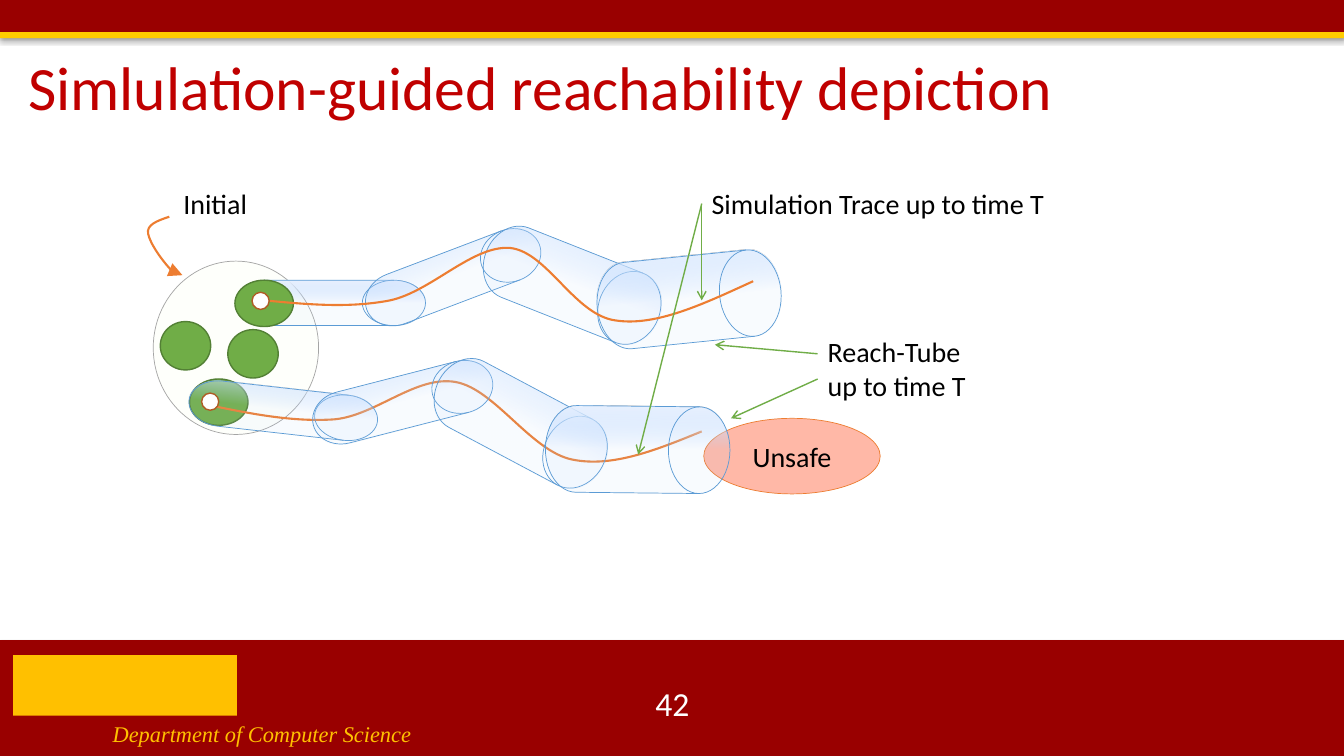
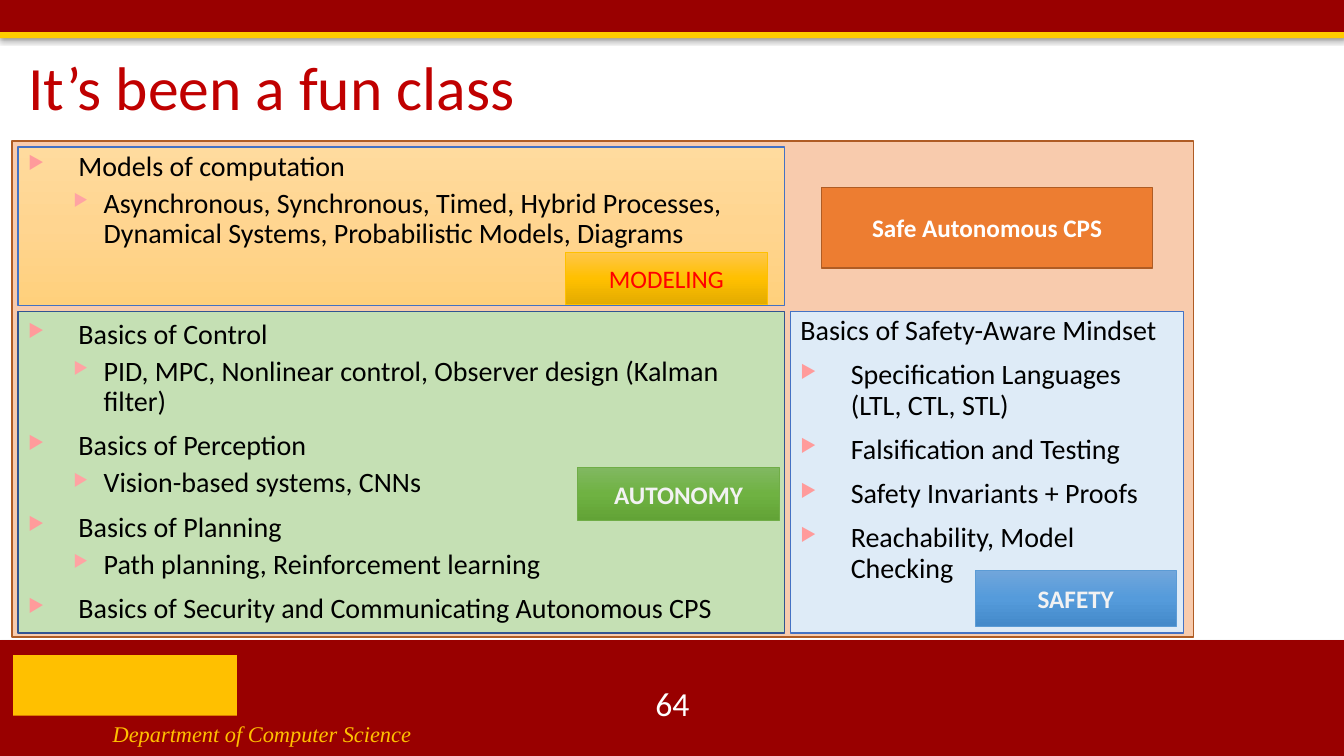
from dataclasses import dataclass
from typing import Any, NamedTuple

import pptx
import pptx.dml.color
import pptx.enum.shapes
import pptx.enum.text
import pptx.oxml.ns
import pptx.shapes.autoshape
import pptx.slide
import pptx.util
from lxml import etree

RGB = pptx.dml.color.RGBColor
KIND = pptx.enum.shapes.MSO_SHAPE
ALIGN = pptx.enum.text.PP_ALIGN
ANCHOR = pptx.enum.text.MSO_ANCHOR
Pt = pptx.util.Pt
qn = pptx.oxml.ns.qn
Shape = pptx.shapes.autoshape.Shape
Slide = pptx.slide.Slide

# The slide is a grid of square cells, 75 rows high and COLS columns wide.
HIGH = pptx.util.Inches(7.5)
WIDE = pptx.util.Inches(13.33)
CELL = HIGH // 75
COLS = WIDE / CELL

BLACK = RGB(0x00, 0x00, 0x00)
WHITE = RGB(0xFF, 0xFF, 0xFF)
PALE = RGB(0xF2, 0xF2, 0xF2)
CRIMSON = RGB(0x99, 0x00, 0x00)
GOLD = RGB(0xFF, 0xCC, 0x00)
AMBER = RGB(0xFF, 0xC0, 0x00)
TITLE = RGB(0xC0, 0x00, 0x00)
RED = RGB(0xFF, 0x00, 0x00)
ORANGE = RGB(0xED, 0x7D, 0x31)
RUST = RGB(0xAF, 0x5C, 0x24)
PEACH = RGB(0xF8, 0xCB, 0xAD)
SALMON = RGB(0xFF, 0xB8, 0xA7)
GREEN = RGB(0x70, 0xAD, 0x47)
FOREST = RGB(0x53, 0x80, 0x35)
MINT = RGB(0xC5, 0xE0, 0xB4)
IVORY = RGB(0xFE, 0xFF, 0xFB)
GREY = RGB(0xA5, 0xA5, 0xA5)
BLUE = RGB(0x5B, 0x9B, 0xD5)
ROYAL = RGB(0x44, 0x72, 0xC4)
NAVY = RGB(0x32, 0x54, 0x91)
SKY = RGB(0xDE, 0xEB, 0xF7)
PINK = RGB(0xFF, 0x9B, 0x9B)
ROSE = RGB(0xFF, 0xA3, 0xA3)


class Box(NamedTuple):
    left: float
    top: float
    wide: float
    high: float


class Stop(NamedTuple):
    place: int
    color: str
    alpha: int = 100


class Blend(NamedTuple):
    """A linear gradient; the angle runs counter-clockwise."""
    stops: tuple[Stop, ...]
    angle: int = 270


def fade(*tones: str) -> Blend:
    return Blend(tuple(Stop(50 * i, tone) for i, tone in enumerate(tones)))


GLASS = Blend((Stop(51, "B0D2FF", 9), Stop(100, "EAF2FF")), 90)
SAND = fade("FFDB9E", "FFD590", "FFD07C")


@dataclass(frozen=True)
class Look:
    fill: RGB | Blend | None = None
    line: RGB | None = None
    width: float = 1
    kind: Any = KIND.RECTANGLE
    shade: int = 0


DOT = Look(GREEN, FOREST, kind=KIND.OVAL)
SEED = Look(WHITE, RUST, kind=KIND.OVAL)
DRUM = Look(GLASS, BLUE, 0.5, KIND.FLOWCHART_DIRECT_ACCESS_STORAGE)


class Level(NamedTuple):
    margin: float
    indent: float
    space: int
    color: RGB | None = None
    size: int = 100


PLAIN = Level(0, 0, 10)
ITEM = Level(5, -5, 10, PINK, 65)
SUB = Level(7.5, -3, 5, ROSE, 60)


class Tag(NamedTuple):
    box: Box
    text: str
    look: Look
    color: RGB = PALE
    bold: bool = True


def cells(*nums: float) -> list[int]:
    return [round(num * CELL) for num in nums]


def sub(node: Any, name: str, **attrs: Any) -> Any:
    return etree.SubElement(node, qn(name), {k: str(v) for k, v in attrs.items()})


def apply(thing: Any, form: dict[str, Any]) -> None:
    for name, value in form.items():
        setattr(thing, name, value)


def blend(shape: Shape, grade: Blend) -> None:
    shape.fill.gradient()
    shape.fill.gradient_angle = grade.angle
    stops = shape.element.spPr.find(".//" + qn("a:gsLst"))
    stops.clear()
    for stop in grade.stops:
        mark = sub(stops, "a:gs", pos=stop.place * 1000)
        color = sub(mark, "a:srgbClr", val=stop.color)
        if stop.alpha < 100:
            sub(color, "a:alpha", val=stop.alpha * 1000)


def dress(shape: Shape, look: Look) -> None:
    """Set the fill, outline and shadow of a shape."""
    if isinstance(look.fill, Blend):
        blend(shape, look.fill)
    elif look.fill is None:
        shape.fill.background()
    else:
        shape.fill.solid()
        shape.fill.fore_color.rgb = look.fill
    if look.line is None:
        shape.line.fill.background()
    else:
        shape.line.color.rgb = look.line
        shape.line.width = Pt(look.width)
    shape.shadow.inherit = False
    if look.shade:
        drop = sub(shape.element.spPr.find(qn("a:effectLst")), "a:outerShdw",
                   blurRad=Pt(3.1), dist=Pt(1.8), dir=5400000, rotWithShape=0)
        sub(sub(drop, "a:srgbClr", val="000000"), "a:alpha", val=look.shade * 1000)


def draw(slide: Slide, box: Box, look: Look, turn: float = 0) -> Shape:
    shape = slide.shapes.add_shape(look.kind, *cells(*box))
    dress(shape, look)
    shape.rotation = turn
    return shape


def put(par: Any, text: str, size: float, color: RGB, **more: Any) -> None:
    run = par.add_run()
    run.text = text
    form = {"name": "Calibri", "size": Pt(size), "bold": False} | more
    apply(run.font, form)
    run.font.color.rgb = color


def write(shape: Shape, text: str, size: float, color: RGB,
          align: Any = ALIGN.CENTER, anchor: Any = ANCHOR.MIDDLE, **more: Any) -> None:
    apply(shape.text_frame, {"word_wrap": True, "vertical_anchor": anchor})
    par = shape.text_frame.paragraphs[0]
    par.alignment = align
    put(par, text, size, color, **more)


def label(slide: Slide, box: Box, text: str, size: float = 20, color: RGB = BLACK,
          align: Any = ALIGN.LEFT, anchor: Any = ANCHOR.TOP, **more: Any) -> Shape:
    shape = slide.shapes.add_textbox(*cells(*box))
    write(shape, text, size, color, align, anchor, **more)
    return shape


def fill_list(shape: Shape, items: list[tuple[Level, str]], anchor: Any) -> None:
    frame = shape.text_frame
    apply(frame, {"word_wrap": True, "vertical_anchor": anchor})
    for i, (level, text) in enumerate(items):
        par = frame.add_paragraph() if i else frame.paragraphs[0]
        props = par._p.get_or_add_pPr()
        margin, indent = cells(level.margin, level.indent)
        apply(props, {"lvl": int(level is SUB)})
        props.set("marL", str(margin))
        props.set("indent", str(indent))
        if level.color is not None:
            sub(sub(props, "a:buClr"), "a:srgbClr", val=level.color)
            sub(props, "a:buSzPct", val=level.size * 1000)
            sub(props, "a:buChar", char="▶")
        apply(par, {"alignment": ALIGN.LEFT, "line_spacing": 0.9,
                    "space_before": Pt(level.space if i else 0)})
        put(par, text, 20, BLACK)


def tip(shape: Any, kind: str, size: str = "med") -> None:
    sub(shape.element.spPr.find(qn("a:ln")), "a:tailEnd", type=kind, w=size, len=size)


def curve(slide: Slide, points: list[tuple[float, float]]) -> Shape:
    """Draw cubic arcs: a start, then two handles and an end for each arc."""
    spots = [cells(*point) for point in points]
    maker = slide.shapes.build_freeform(*spots[0])
    maker.add_line_segments(spots[1:], close=False)
    shape = maker.convert_to_shape()
    dress(shape, Look(None, ORANGE, 1.5))
    trail = shape.element.spPr.find(".//" + qn("a:path"))
    legs = trail.findall(qn("a:lnTo"))
    for i in range(0, len(legs), 3):
        arc = sub(trail, "a:cubicBezTo")
        for leg in legs[i:i + 3]:
            arc.append(leg[0])
            trail.remove(leg)
    return shape


def arrow(slide: Slide, start: tuple[float, float], end: tuple[float, float],
          source: Shape | None = None) -> None:
    line = slide.shapes.add_connector(
        pptx.enum.shapes.MSO_CONNECTOR.STRAIGHT, *cells(*start, *end))
    if source is not None:
        line.begin_connect(source, 1)
    line.line.color.rgb = GREEN
    line.line.width = Pt(1)
    tip(line, "arrow")
    sub(line.element.spPr, "a:effectLst")


def tube(slide: Slide, drums: list[tuple[float, float, float]]) -> None:
    """Draw four drums, each given by left, top and turn."""
    sizes = [(18.8, 4.5), (18.3, 5.2), (18.3, 7.4), (18.3, 8.6)]
    for (left, top, turn), size in zip(drums, sizes):
        draw(slide, Box(left, top, *size), DRUM, turn)


def start(deck: Any, title: str, number: int) -> Slide:
    """Add a slide with its bands, department, title and number."""
    slide = deck.slides.add_slide(deck.slide_layouts[6])
    draw(slide, Box(0, 63.5, COLS, 11.5), Look(CRIMSON, shade=35))
    draw(slide, Box(1.3, 65, 22.2, 6), Look(AMBER))
    label(slide, Box(10.2, 71, 52, 3.6), "Department of Computer Science", 16, AMBER,
          name="Times New Roman", italic=True)
    draw(slide, Box(0, 0, COLS, 3.3), Look(CRIMSON, shade=35))
    draw(slide, Box(0, 3.2, COLS, 0.6), Look(GOLD, shade=38))
    head = label(slide, Box(1.8, 4.7, 119.4, 8.5), title, 44, TITLE,
                 anchor=ANCHOR.MIDDLE)
    head.text_frame.paragraphs[0].line_spacing = 0.9
    label(slide, Box(51.7, 67.8, 30, 4), str(number), 24, WHITE,
          ALIGN.CENTER, ANCHOR.MIDDLE)
    return slide


def reach(deck: Any) -> None:
    slide = start(deck, "Simlulation-guided reachability depiction", 42)
    unsafe = draw(slide, Box(69.8, 41.5, 17.5, 7.5),
                  Look(SALMON, ORANGE, 0.5, KIND.OVAL))
    write(unsafe, "Unsafe", 20, BLACK)
    draw(slide, Box(15.2, 25.9, 16.4, 17.2), Look(IVORY, GREY, 0.5, KIND.OVAL))
    for box in (Box(18.8, 37.6, 5.8, 4.6), Box(15.9, 31.9, 5, 4.8)):
        draw(slide, box, DOT)
    tube(slide, [(23.4, 27.8, 0), (35.8, 24.9, -20.8),
                 (47.6, 24.6, 21.6), (59.2, 25.4, -5.8)])
    curve(slide, [(20.3, 40.1), (24.6, 41), (29, 41.9), (33.2, 41.6),
                  (37.3, 41.2), (41.3, 37.2), (45.2, 37.9),
                  (49.1, 38.6), (52.7, 44.8), (56.8, 45.6),
                  (60.8, 46.4), (65.2, 44.6), (69.6, 42.8)])
    tube(slide, [(18.7, 38.5, 6.4), (30.8, 37.3, -14.4),
                 (42.5, 38.3, 28), (54.1, 40.3, 0.6)])
    draw(slide, Box(20, 39, 1.7, 1.7), SEED)
    draw(slide, Box(23.3, 27.8, 5.8, 4.6), DOT)
    curve(slide, [(26.2, 29.8), (30.4, 30.2), (34.6, 30.6), (38.7, 29.8),
                  (42.8, 28.9), (46.9, 24.3), (50.6, 24.6),
                  (54.3, 25), (57, 31.3), (61.1, 31.8),
                  (65.1, 32.4), (69.9, 30.1), (74.7, 27.9)])
    draw(slide, Box(25, 29, 1.7, 1.7), SEED)
    label(slide, Box(17.2, 18, 9, 4.4), "Initial")
    trace = label(slide, Box(69.6, 18, 37, 4.4), "Simulation Trace up to time T")
    label(slide, Box(81.1, 32.7, 17.3, 7.7), "Reach-Tube up to time T")
    hook = curve(slide, [(16.8, 21.5), (15.6, 21.9), (14.5, 22.3), (14.7, 23.2),
                         (14.9, 24.2), (17.7, 28.3), (18.1, 27.3)])
    tip(hook, "triangle", "lg")
    for end in ((69.6, 29.8), (63.3, 45.1)):
        arrow(slide, (69.6, 20.2), end, trace)
    arrow(slide, (81.1, 35.1), (70.9, 34.2))
    arrow(slide, (81.1, 37.6), (72.5, 41.5))
    draw(slide, Box(22.6, 32.7, 5, 4.8), DOT)


def recap(deck: Any) -> None:
    slide = start(deck, "It’s been a fun class", 64)
    draw(slide, Box(1.2, 14, 117.2, 49.2), Look(PEACH, RUST))
    left, top, wide, high, gap = 1.8, 14.6, 76, 15.7, 0.6
    right, low, deep = left + wide + gap, top + high + gap, 31.9
    panels = [
        (Box(left, low, wide, deep), Look(MINT, NAVY), ANCHOR.MIDDLE, [
            (ITEM, "Basics of Control"),
            (SUB, "PID, MPC, Nonlinear control, Observer design (Kalman filter)"),
            (ITEM, "Basics of Perception"),
            (SUB, "Vision-based systems, CNNs"),
            (ITEM, "Basics of Planning"),
            (SUB, "Path planning, Reinforcement learning"),
            (ITEM, "Basics of Security and Communicating Autonomous CPS")]),
        (Box(left, top, wide, high), Look(SAND, ROYAL), ANCHOR.TOP, [
            (ITEM, "Models of computation"),
            (SUB, "Asynchronous, Synchronous, Timed, Hybrid Processes, "
                  "Dynamical Systems, Probabilistic Models, Diagrams")]),
        (Box(right, low, 39, deep), Look(SKY, ROYAL), ANCHOR.TOP, [
            (PLAIN, "Basics of Safety-Aware Mindset"),
            (ITEM, "Specification Languages (LTL, CTL, STL)"),
            (ITEM, "Falsification and Testing"),
            (ITEM, "Safety Invariants + Proofs"),
            (ITEM, "Reachability, Model Checking")]),
    ]
    for box, look, anchor, items in panels:
        fill_list(draw(slide, box, look), items, anchor)
    tags = [
        Tag(Box(56.1, 25, 20, 5.2), "MODELING",
            Look(fade("FFC64B", "FFC000", "E3AB00"), AMBER, 0.5), RED, False),
        Tag(Box(57.3, 46.4, 20, 5.2), "AUTONOMY",
            Look(fade("81B861", "6FB242", "62A336"), GREEN, 0.5)),
        Tag(Box(96.7, 56.6, 20, 5.5), "SAFETY",
            Look(fade("71A6DB", "559BDB", "448ACA"), BLUE, 0.5)),
        Tag(Box(81.5, 18.6, 32.8, 8), "Safe Autonomous CPS", Look(ORANGE, RUST), WHITE),
    ]
    for tag in tags:
        write(draw(slide, tag.box, tag.look), tag.text, 18, tag.color, bold=tag.bold)


def main() -> None:
    deck = pptx.Presentation()
    apply(deck, {"slide_width": WIDE, "slide_height": HIGH})
    reach(deck)
    recap(deck)
    deck.save("out.pptx")


if __name__ == "__main__":
    main()
